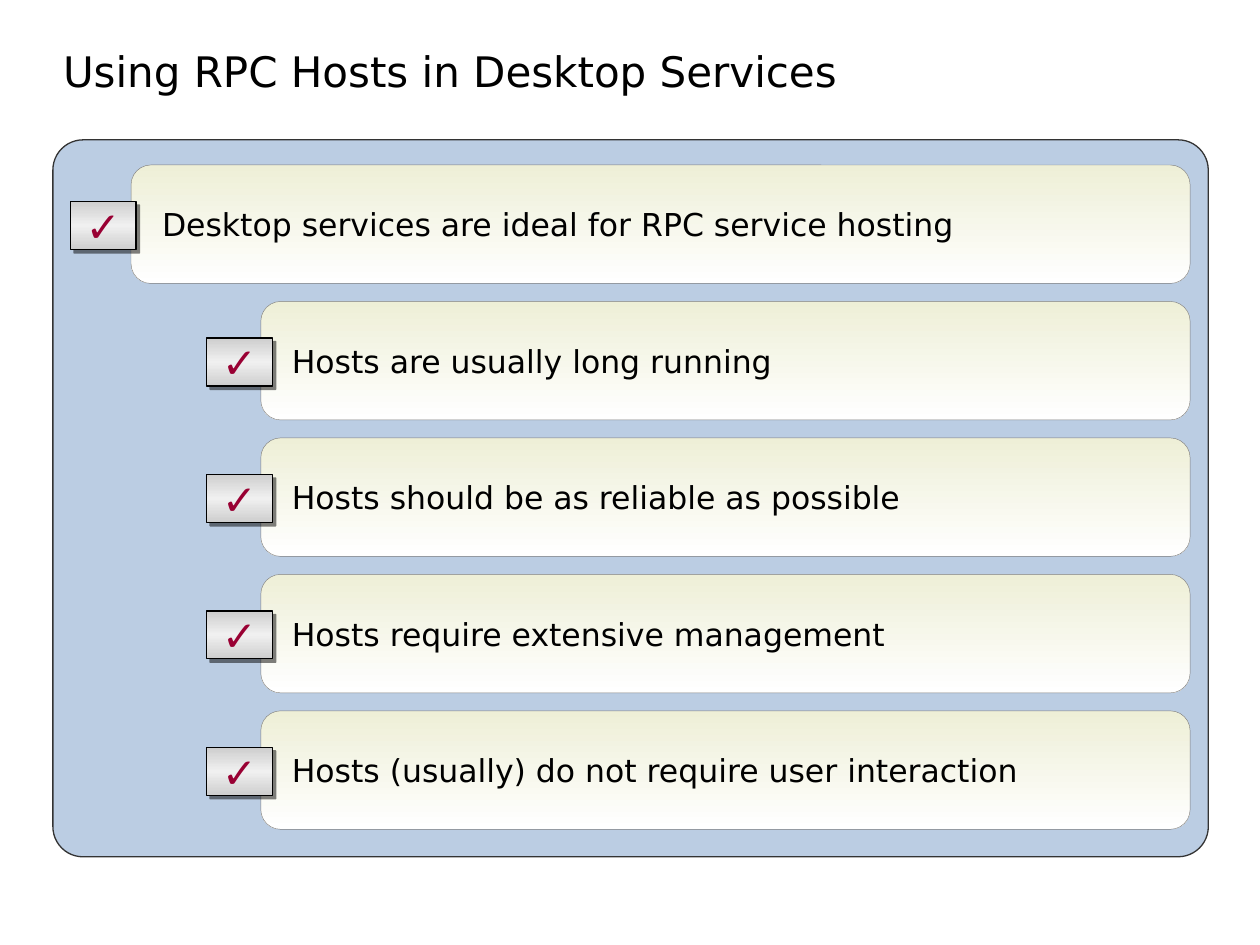
from lxml import etree
from pptx import Presentation
from pptx import util as u
from pptx.dml.color import RGBColor
from pptx.enum import shapes, text
from pptx.oxml import ns

BLACK = RGBColor(0x00, 0x00, 0x00)
WHITE = RGBColor(0xFF, 0xFF, 0xFF)
BLUE = RGBColor(0xBB, 0xCD, 0xE3)
CREAM = RGBColor(0xEE, 0xEF, 0xD7)
SILVER = RGBColor(0xCE, 0xCE, 0xCE)
LIGHT = RGBColor(0xF0, 0xF0, 0xF0)
DARK = RGBColor(0x33, 0x33, 0x33)
GREY = RGBColor(0x80, 0x80, 0x80)
RED = RGBColor(0x99, 0x00, 0x33)

COLS, ROWS = 100, 75
STEP = 10.83  # rows from one card to the next
RIGHT = 94.45  # column where every card ends
CARDS = [  # text, card column, check column
    ("Desktop services are ideal for RPC service hosting", 10.4, 5.6),
    ("Hosts are usually long running", 20.7, 16.4),
    ("Hosts should be as reliable as possible", 20.7, 16.4),
    ("Hosts require extensive management", 20.7, 16.4),
    ("Hosts (usually) do not require user interaction", 20.7, 16.4),
]


def write(frame, words, font="DejaVu Sans", size=18, color=BLACK, align=text.PP_ALIGN.LEFT,
          anchor=text.MSO_ANCHOR.MIDDLE, wrap=True, left=0.1, right=0.1, spacing=1.0):
    frame.auto_size = text.MSO_AUTO_SIZE.NONE
    frame.word_wrap = wrap
    frame.vertical_anchor = anchor
    frame.margin_left, frame.margin_right = u.Inches(left), u.Inches(right)
    frame.margin_top = frame.margin_bottom = u.Inches(0.05)
    frame.text = words
    para = frame.paragraphs[0]
    para.alignment, para.line_spacing = align, spacing
    run = para.runs[0].font
    run.name, run.size, run.color.rgb = font, u.Pt(size), color


def node(up, tag, **attrs):
    return etree.SubElement(up, ns.qn("a:" + tag), {k: str(v) for k, v in attrs.items()})


class Page:
    """Holds the grid and the current slide."""

    def __init__(self, deck):
        self.col, self.row = deck.slide_width / COLS, deck.slide_height / ROWS
        self.slide = deck.slides.add_slide(deck.slide_layouts[5])

    def place(self, x, y, w, h):
        return int(x * self.col), int(y * self.row), int(w * self.col), int(h * self.row)

    def title(self, words, *box):
        item = self.slide.shapes.title
        item.left, item.top, item.width, item.height = self.place(*box)
        write(item.text_frame, words, size=24, anchor=text.MSO_ANCHOR.BOTTOM,
              left=0, spacing=0.85)

    def panel(self, *box, round=0.042, fills=(BLUE,), line=DARK, width=0.75):
        item = self.slide.shapes.add_shape(shapes.MSO_SHAPE.ROUNDED_RECTANGLE, *self.place(*box))
        item.adjustments[0] = round
        item.shadow.inherit = False
        item.line.color.rgb, item.line.width = line, u.Pt(width)
        if len(fills) == 1:
            item.fill.solid()
            item.fill.fore_color.rgb = fills[0]
        else:
            self.blend(item, fills)
        return item

    def blend(self, item, fills):
        # Even stops from top to bottom
        item.fill.gradient()
        grad = item.element.spPr.find(ns.qn("a:gradFill"))
        for old in list(grad):
            grad.remove(old)
        stops = node(grad, "gsLst")
        for i, color in enumerate(fills):
            stop = node(stops, "gs", pos=100000 * i // (len(fills) - 1))
            node(stop, "srgbClr", val=color)
        node(grad, "lin", ang=5400000, scaled=0)

    def card(self, words, *box):
        item = self.panel(*box, round=0.167, fills=(CREAM, WHITE), line=GREY, width=0.25)
        write(item.text_frame, words, left=0.2, right=0.2)

    def check(self, *box):
        item = self.panel(*box, round=0, fills=(SILVER, LIGHT, SILVER), line=BLACK)
        glow = item.element.spPr.find(ns.qn("a:effectLst"))
        cast = node(glow, "outerShdw", dist=u.Pt(2.8), dir=2700000, algn="ctr", rotWithShape=0)
        node(node(cast, "srgbClr", val=BLACK), "alpha", val=50000)
        write(item.text_frame, "✓", font="Arial", size=24, color=RED,
              align=text.PP_ALIGN.CENTER, wrap=False)


def main():
    deck = Presentation()
    deck.slide_width, deck.slide_height = u.Inches(10), u.Inches(7.5)
    page = Page(deck)

    # Title and backdrop
    page.title("Using RPC Hosts in Desktop Services", 5, 0, 85, 8.1)
    page.panel(4.2, 11.1, 91.7, 56.9)

    # Cards, each with its check mark
    for i, (words, left, mark) in enumerate(CARDS):
        top = 13.1 + i * STEP
        page.card(words, left, top, RIGHT - left, 9.4)
        page.check(mark, top + 2.9, 5.2, 3.8)

    deck.save("out.pptx")


if __name__ == "__main__":
    main()
